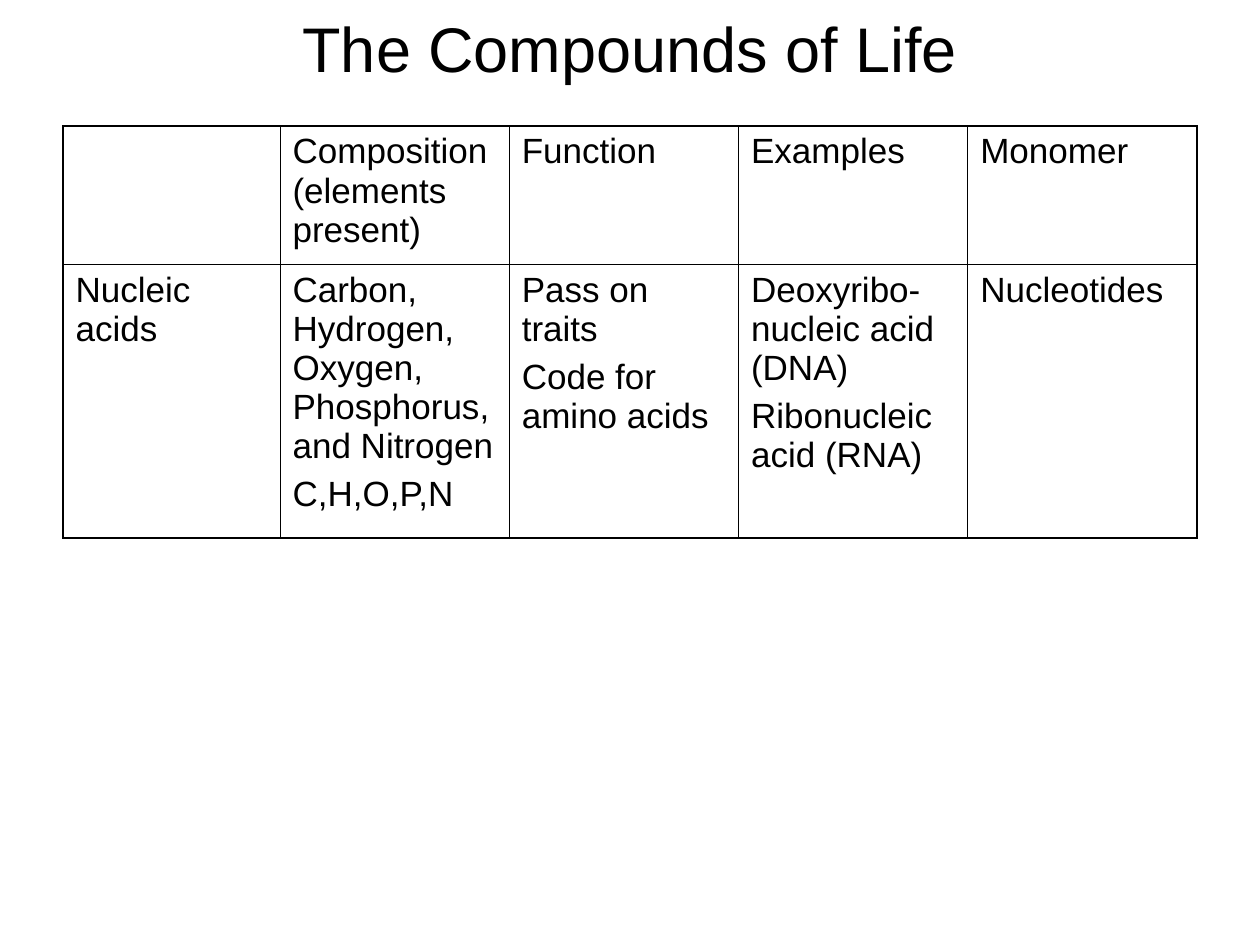
from lxml.etree import SubElement
from pptx import Presentation
from pptx.dml.color import RGBColor
from pptx.enum.text import MSO_ANCHOR, PP_ALIGN
from pptx.oxml.ns import qn
from pptx.util import Pt

BLACK = RGBColor(0, 0, 0)
WHITE = RGBColor(255, 255, 255)
FONT = "Arial"
TITLE_SIZE, CELL_SIZE = Pt(36), Pt(20)
OUTER, INNER = Pt(1.08), Pt(0.45)

COMPOUNDS = [
    ["", "Composition (elements present)", "Function", "Examples", "Monomer"],
    [
        "Nucleic acids",
        "Carbon, Hydrogen, Oxygen, Phosphorus, and Nitrogen\nC,H,O,P,N",
        "Pass on traits\nCode for amino acids",
        "Deoxyribo-nucleic acid (DNA)\nRibonucleic acid (RNA)",
        "Nucleotides",
    ],
]
COLUMN_WIDTHS = [124, 131, 131, 131, 131]
ROW_HEIGHTS = [79.2, 156.2]


class SlideBuilder:
    def __init__(self, slide):
        self.slide = slide
        background = slide.background.fill
        background.solid()
        background.fore_color.rgb = WHITE

    def style(self, paragraph, size):
        paragraph.font.name = FONT
        paragraph.font.size = size
        paragraph.font.color.rgb = BLACK

    def title(self, text, left, top, width, height):
        heading = self.slide.shapes.title
        heading.left, heading.top = Pt(left), Pt(top)
        heading.width, heading.height = Pt(width), Pt(height)
        frame = heading.text_frame
        frame.text = text
        frame.vertical_anchor = MSO_ANCHOR.MIDDLE
        frame.paragraphs[0].alignment = PP_ALIGN.CENTER
        self.style(frame.paragraphs[0], TITLE_SIZE)

    def border(self, cell, side, width):
        line = SubElement(cell._tc.get_or_add_tcPr(), qn(f"a:{side}"), w=str(width))
        fill = SubElement(line, qn("a:solidFill"))
        SubElement(fill, qn("a:srgbClr"), val=str(BLACK))

    def cell(self, cell, text, edges):
        cell.text_frame.text = text
        for index, paragraph in enumerate(cell.text_frame.paragraphs):
            if index:
                paragraph.space_before = Pt(5)
            self.style(paragraph, CELL_SIZE)
        for side, is_outer in edges.items():
            self.border(cell, side, OUTER if is_outer else INNER)
        cell.fill.background()

    def table(self, rows, left, top, widths, heights):
        frame = self.slide.shapes.add_table(
            len(heights), len(widths), Pt(left), Pt(top), Pt(sum(widths)), Pt(sum(heights))
        )
        table = frame.table
        table.first_row = table.horz_banding = False
        for column, width in zip(table.columns, widths):
            column.width = Pt(width)
        for row, height in zip(table.rows, heights):
            row.height = Pt(height)
        for r, texts in enumerate(rows):
            for c, text in enumerate(texts):
                edges = {
                    "lnL": c == 0,
                    "lnR": c == len(widths) - 1,
                    "lnT": r == 0,
                    "lnB": r == len(heights) - 1,
                }
                self.cell(table.cell(r, c), text, edges)


def main():
    deck = Presentation()
    deck.slide_width, deck.slide_height = Pt(720), Pt(540)
    builder = SlideBuilder(deck.slides.add_slide(deck.slide_layouts[5]))
    builder.title("The Compounds of Life", 36, 0, 648, 54)
    builder.table(COMPOUNDS, 36, 72, COLUMN_WIDTHS, ROW_HEIGHTS)
    deck.save("out.pptx")


if __name__ == "__main__":
    main()
